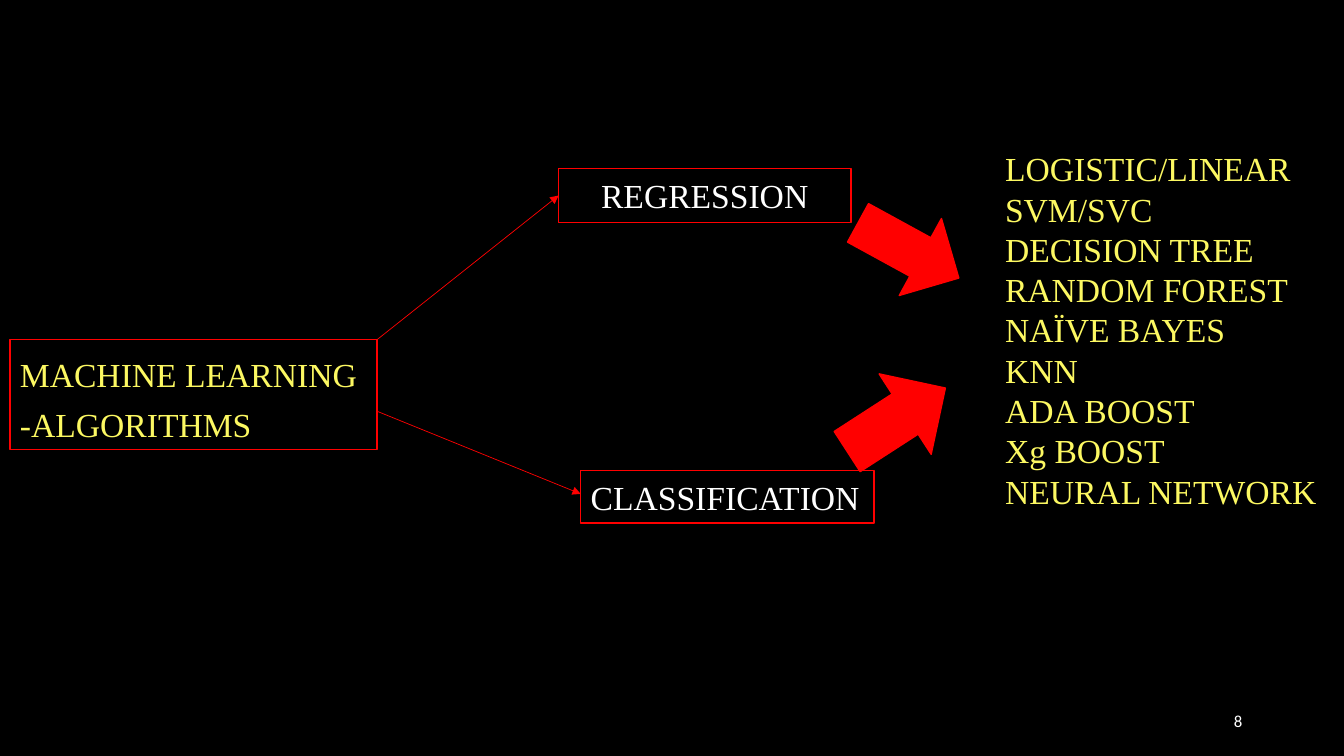
from dataclasses import dataclass

from lxml import etree
from pptx import Presentation
from pptx import util as u
from pptx.dml.color import RGBColor
from pptx.enum import shapes, text
from pptx.oxml.ns import qn

SCALE = 9144  # EMU per px, at 100 px to the inch


@dataclass(frozen=True)
class Theme:
    black: RGBColor = RGBColor(0, 0, 0)
    white: RGBColor = RGBColor(255, 255, 255)
    red: RGBColor = RGBColor(255, 0, 0)
    yellow: RGBColor = RGBColor(0xFC, 0xF8, 0x62)
    serif: str = "Times New Roman"
    sans: str = "Calibri"
    label_size: int = 24
    number_size: int = 12
    frame_width: float = 1
    link_width: float = 0.5


THEME = Theme()
ALGORITHMS = [
    "LOGISTIC/LINEAR", "SVM/SVC", "DECISION TREE", "RANDOM FOREST",
    "NAÏVE BAYES", "KNN", "ADA BOOST", "Xg BOOST", "NEURAL NETWORK",
]


def px(*lengths):
    return [u.Emu(length * SCALE) for length in lengths]


def write(shape, lines, color, align=text.PP_ALIGN.LEFT,
          anchor=text.MSO_ANCHOR.TOP, font=THEME.serif, size=THEME.label_size,
          line_spacing=None, space_before=0):
    frame = shape.text_frame
    frame.word_wrap = True
    frame.vertical_anchor = anchor
    for index, line in enumerate(lines):
        para = frame.paragraphs[0] if index == 0 else frame.add_paragraph()
        para.alignment = align
        para.line_spacing = line_spacing
        para.space_before = u.Pt(space_before)
        span = para.add_run()
        span.text = line
        span.font.name = font
        span.font.size = u.Pt(size)
        span.font.color.rgb = color


def add_outlined(page, kind, box):
    shape = page.shapes.add_shape(kind, *px(*box))
    shape.shadow.inherit = False
    shape.fill.background()
    shape.line.color.rgb = THEME.red
    shape.line.width = u.Pt(THEME.frame_width)
    return shape


def add_node(page, box, lines, color, **style):
    node = add_outlined(page, shapes.MSO_SHAPE.RECTANGLE, box)
    write(node, lines, color, **style)


def add_link(page, start, end):
    link = page.shapes.add_connector(
        shapes.MSO_CONNECTOR.STRAIGHT, *px(*start, *end))
    link.line.color.rgb = THEME.red
    link.line.width = u.Pt(THEME.link_width)
    etree.SubElement(link.line._get_or_add_ln(), qn("a:tailEnd"), type="triangle")
    etree.SubElement(link._element.spPr, qn("a:effectLst"))


def add_block_arrow(page, box, rotation):
    arrow = add_outlined(page, shapes.MSO_SHAPE.RIGHT_ARROW, box)
    arrow.fill.solid()
    arrow.fill.fore_color.rgb = THEME.red
    arrow.rotation = rotation


def add_text(page, box, lines, color, **style):
    write(page.shapes.add_textbox(*px(*box)), lines, color, **style)


def add_branches(page, box):
    """Root topic with its two branches, relative to the box."""
    left, top, width, height = box
    right, bottom = left + width, top + height
    root = (left, top + 170, 364, 109)
    regression = (right - 313, top, 290, 54)
    classification = (right - 291, bottom - 52, 291, 52)
    root_right = root[0] + root[2]

    # Nodes
    add_node(page, root, ["MACHINE LEARNING", "-ALGORITHMS"], THEME.yellow,
             anchor=text.MSO_ANCHOR.BOTTOM, line_spacing=0.9, space_before=10)
    add_node(page, regression, ["REGRESSION"], THEME.white,
             align=text.PP_ALIGN.CENTER, anchor=text.MSO_ANCHOR.MIDDLE)
    add_node(page, classification, ["CLASSIFICATION"], THEME.white,
             anchor=text.MSO_ANCHOR.MIDDLE)

    # Links from the root
    add_link(page, (root_right, root[1]), (regression[0], regression[1] + 27))
    add_link(page, (root_right, root[1] + 71),
             (classification[0], classification[1] + 23))


def add_algorithms(page, box):
    """Block arrows and the list they lead to, relative to the box."""
    left, top, width, height = box
    add_block_arrow(page, (left + 13, top + 63, 114, 87), 28.7)
    add_block_arrow(page, (left, top + 227, 116, 95), 327.1)
    add_text(page, (left + 156, top, width - 156, height),
             ALGORITHMS, THEME.yellow)


def add_page_number(page, box):
    add_text(page, box, ["8"], THEME.white, align=text.PP_ALIGN.RIGHT,
             anchor=text.MSO_ANCHOR.MIDDLE, font=THEME.sans,
             size=THEME.number_size)


def main():
    deck = Presentation()
    deck.slide_width, deck.slide_height = px(1333, 750)
    page = deck.slides.add_slide(deck.slide_layouts[6])
    page.background.fill.solid()
    page.background.fill.fore_color.rgb = THEME.black

    add_branches(page, (10, 167, 857, 352))
    add_algorithms(page, (831, 142, 490, 389))
    add_page_number(page, (942, 695, 300, 40))
    deck.save("out.pptx")


if __name__ == "__main__":
    main()
